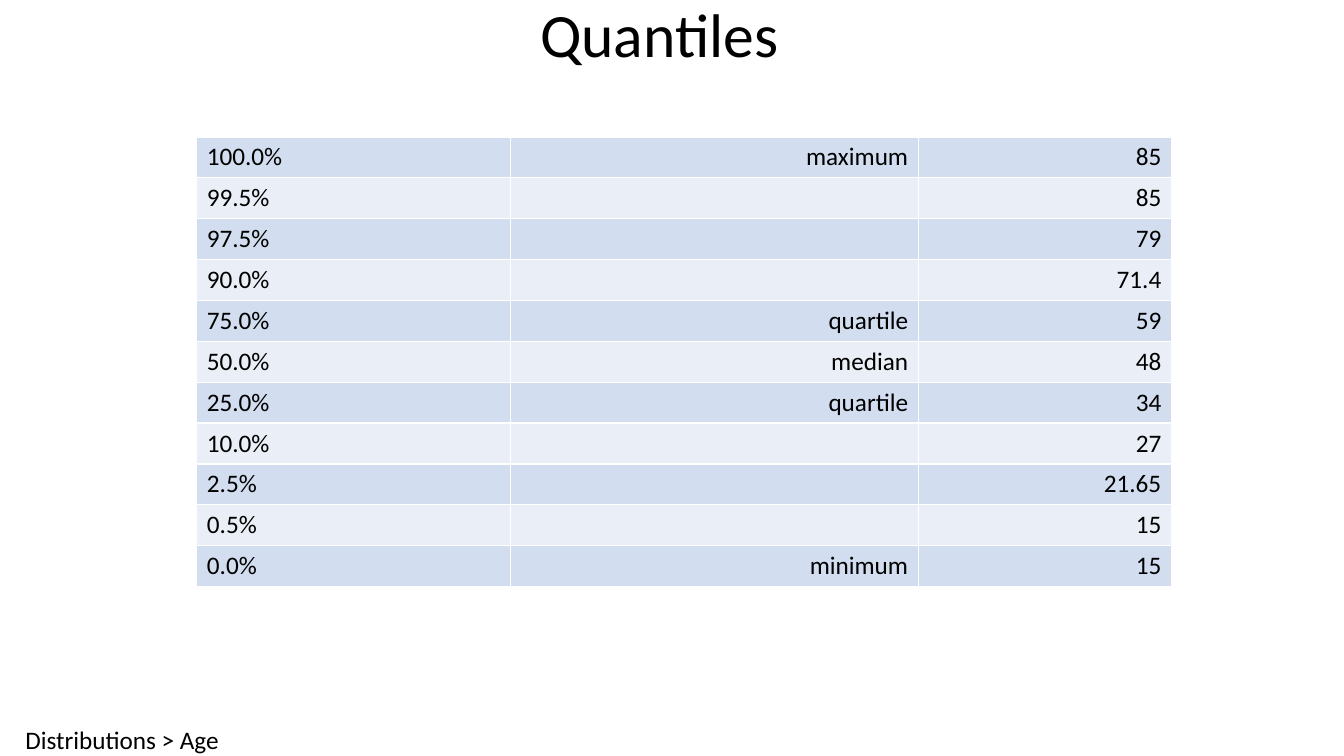
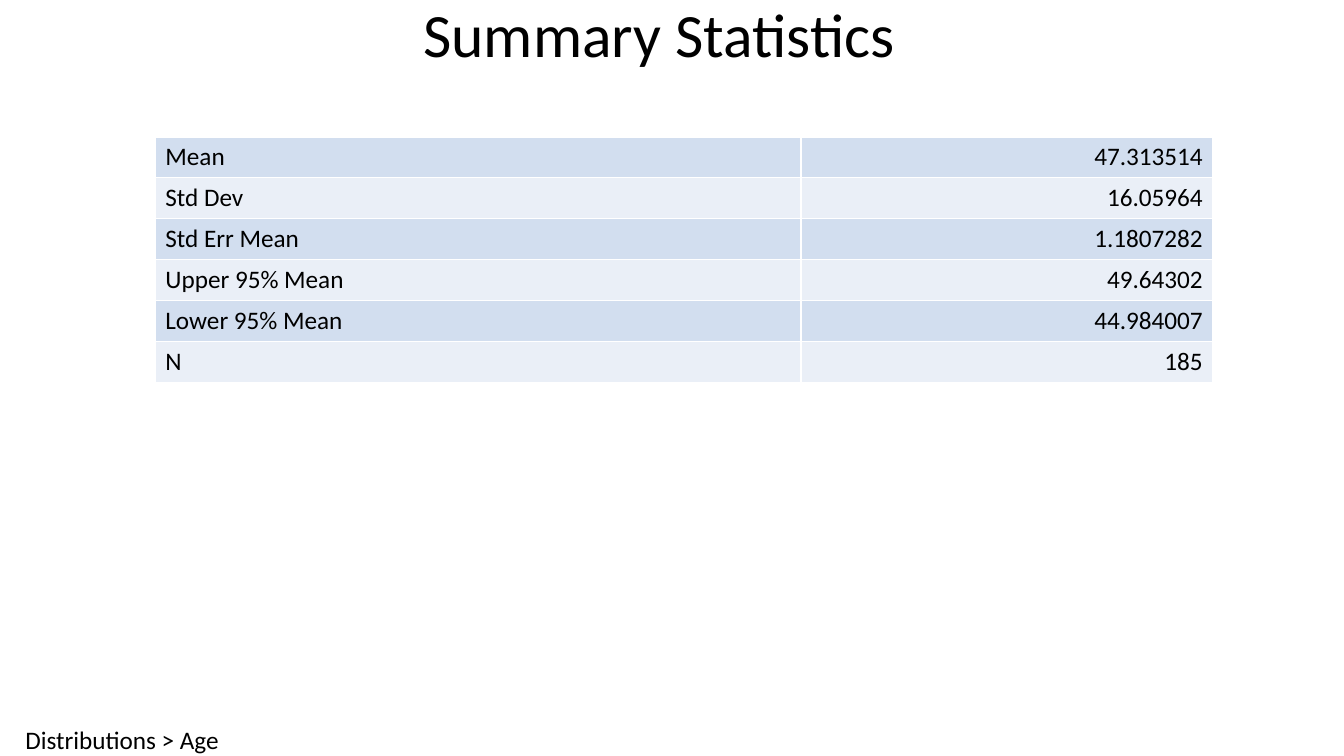
from dataclasses import dataclass

from lxml import etree
from pptx import Presentation
from pptx.dml.color import RGBColor
from pptx.enum.text import MSO_ANCHOR, MSO_AUTO_SIZE, PP_ALIGN
from pptx.oxml.ns import qn
from pptx.util import Cm, Pt

LEFT, CENTER, RIGHT = PP_ALIGN.LEFT, PP_ALIGN.CENTER, PP_ALIGN.RIGHT
TITLE_ONLY = 5


@dataclass(frozen=True)
class Theme:
    font: str = "Calibri"
    ink: str = "000000"
    border: str = "FFFFFF"
    bands: tuple = ("D2DEEF", "EAEFF7")
    title_size: int = 44
    text_size: int = 18


THEME = Theme()

# Shared geometry, in centimetres
PAGE_SIZE = (33.87, 19.05)
TITLE_BOX = (0, 0, 33.23, 1.9)
FOOTER_BOX = (0.64, 18.26, 4.93, 0.79)
TABLE_CENTER, TABLE_TOP, ROW_HEIGHT = 17.24, 3.45, 1.03

FOOTER = "Distributions > Age"
QUANTILES = [
    ("100.0%", "maximum", "85"),
    ("99.5%", "", "85"),
    ("97.5%", "", "79"),
    ("90.0%", "", "71.4"),
    ("75.0%", "quartile", "59"),
    ("50.0%", "median", "48"),
    ("25.0%", "quartile", "34"),
    ("10.0%", "", "27"),
    ("2.5%", "", "21.65"),
    ("0.5%", "", "15"),
    ("0.0%", "minimum", "15"),
]
SUMMARY = [
    ("Mean", "47.313514"),
    ("Std Dev", "16.05964"),
    ("Std Err Mean", "1.1807282"),
    ("Upper 95% Mean", "49.64302"),
    ("Lower 95% Mean", "44.984007"),
    ("N", "185"),
]
# Title, column widths in centimetres, rows
PAGES = [
    ("Quantiles", (7.9, 10.28, 6.38), QUANTILES),
    ("Summary Statistics", (16.27, 10.38), SUMMARY),
]


def set_attributes(target, values):
    for name, value in values.items():
        setattr(target, name, value)


def write_text(frame, text, size, align=LEFT):
    para = frame.paragraphs[0]
    para.alignment = align
    if text:
        span = para.add_run()
        span.text = text
        set_attributes(span.font, {"name": THEME.font, "size": Pt(size)})
        span.font.color.rgb = RGBColor.from_string(THEME.ink)
    return para


def add_title(page, text, bounds):
    box = page.shapes.title
    set_attributes(box, dict(zip(("left", "top", "width", "height"), map(Cm, bounds))))
    set_attributes(box.text_frame, {
        "vertical_anchor": MSO_ANCHOR.MIDDLE,
        "auto_size": MSO_AUTO_SIZE.NONE,
        "word_wrap": True,
    })
    para = write_text(box.text_frame, text, THEME.title_size, CENTER)
    set_attributes(para, {"line_spacing": 0.9, "space_before": Pt(0)})


def add_footer(page, text, bounds):
    frame = page.shapes.add_textbox(*map(Cm, bounds)).text_frame
    set_attributes(frame, {
        "margin_left": 0, "margin_top": 0, "margin_right": 0, "margin_bottom": 0,
        "word_wrap": False, "auto_size": MSO_AUTO_SIZE.SHAPE_TO_FIT_TEXT,
    })
    write_text(frame, text, THEME.text_size)


def style_cell(cell, band):
    # Borders come before the fill in the cell properties
    properties = cell._tc.get_or_add_tcPr()
    for side in ("a:lnL", "a:lnR", "a:lnT", "a:lnB"):
        line = etree.SubElement(properties, qn(side), w=str(Pt(1)))
        fill = etree.SubElement(line, qn("a:solidFill"))
        etree.SubElement(fill, qn("a:srgbClr"), val=THEME.border)
    cell.fill.solid()
    cell.fill.fore_color.rgb = RGBColor.from_string(band)


def add_banded_table(page, rows, widths, center, top):
    total = sum(widths)
    table = page.shapes.add_table(
        len(rows), len(widths), Cm(center - total / 2), Cm(top),
        Cm(total), Cm(ROW_HEIGHT * len(rows))).table
    set_attributes(table, {"first_row": False, "horz_banding": False})
    for column, width in zip(table.columns, widths):
        column.width = Cm(width)
    for row_index, values in enumerate(rows):
        table.rows[row_index].height = Cm(ROW_HEIGHT)
        for column_index, value in enumerate(values):
            cell = table.cell(row_index, column_index)
            style_cell(cell, THEME.bands[row_index % 2])
            # Labels in the first column read left, the rest right
            write_text(cell.text_frame, value, THEME.text_size,
                       RIGHT if column_index else LEFT)


def add_table_page(deck, title, widths, rows):
    page = deck.slides.add_slide(deck.slide_layouts[TITLE_ONLY])
    add_footer(page, FOOTER, FOOTER_BOX)
    add_title(page, title, TITLE_BOX)
    add_banded_table(page, rows, widths, TABLE_CENTER, TABLE_TOP)


def main():
    deck = Presentation()
    deck.slide_width, deck.slide_height = map(Cm, PAGE_SIZE)
    for title, widths, rows in PAGES:
        add_table_page(deck, title, widths, rows)
    deck.save("out.pptx")


if __name__ == "__main__":
    main()
